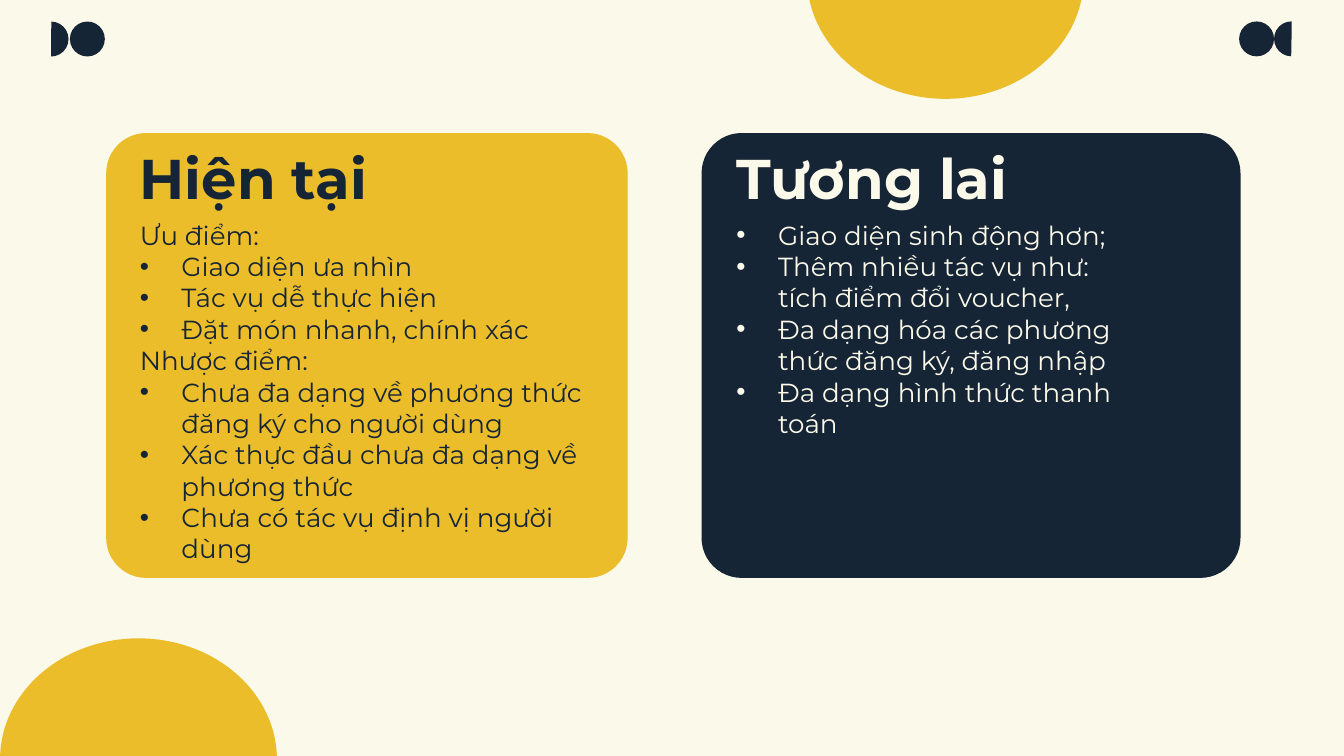
"""Build a slide comparing the present and future of an ordering app."""
from dataclasses import dataclass

import lxml.etree
import pptx
import pptx.dml.color
import pptx.enum.shapes
import pptx.enum.text
import pptx.oxml.ns
import pptx.slide
import pptx.util

Inches = pptx.util.Inches
Preset = pptx.enum.shapes.MSO_SHAPE
Anchor = pptx.enum.text.MSO_ANCHOR


@dataclass(frozen=True)
class Theme:
    cream: str = "FBF9EA"
    navy: str = "162535"
    yellow: str = "ECBD2A"
    font: str = "Montserrat"
    bullet_font: str = "Arial"
    title_size: int = 30
    body_size: int = 14
    indent: float = 0.31


@dataclass(frozen=True)
class Line:
    text: str
    bullet: bool = True


@dataclass(frozen=True)
class Card:
    left: float
    width: float
    text_left: float
    title_width: float
    body_width: float
    fill: str
    ink: str
    title: str
    lines: tuple[Line, ...]


@dataclass(frozen=True)
class Decoration:
    preset: Preset
    left: float
    top: float
    width: float
    height: float
    fill: str
    rotation: int = 0
    adjustments: tuple[float, ...] = ()


THEME = Theme()
CARD_TOP, CARD_HEIGHT = 0.99, 3.31
TITLE_HEIGHT, BODY_TOP, BODY_HEIGHT = 0.65, 1.63, 2.44
DOT_TOP, DOT_SIZE = 0.16, 0.26
SMALL_HALF = (54.58, 162)
LARGE_HALF = (53.46, 162)

DECORATIONS = (
    Decoration(Preset.PIE, 0.25, DOT_TOP, DOT_SIZE, DOT_SIZE, THEME.navy, 180, SMALL_HALF),
    Decoration(Preset.OVAL, 0.52, DOT_TOP, DOT_SIZE, DOT_SIZE, THEME.navy, 180),
    Decoration(Preset.PIE, 9.48, DOT_TOP, DOT_SIZE, DOT_SIZE, THEME.navy, 0, SMALL_HALF),
    Decoration(Preset.OVAL, 9.22, DOT_TOP, DOT_SIZE, DOT_SIZE, THEME.navy),
    Decoration(Preset.PIE, 0.13, 4.62, 1.8, 2.06, THEME.yellow, 90, LARGE_HALF),
    Decoration(Preset.PIE, 6.13, -1.2, 1.81, 2.06, THEME.yellow, 270, LARGE_HALF),
)

CARDS = (
    Card(0.79, 3.88, 1.04, 2.73, 3.58, THEME.yellow, THEME.navy, "Hiện tại", (
        Line("Ưu điểm:", bullet=False),
        Line("Giao diện ưa nhìn"),
        Line("Tác vụ dễ thực hiện"),
        Line("Đặt món nhanh, chính xác"),
        Line("Nhược điểm:", bullet=False),
        Line("Chưa đa dạng về phương thức đăng ký cho người dùng"),
        Line("Xác thực đầu chưa đa dạng về phương thức"),
        Line("Chưa có tác vụ định vị người dùng"),
    )),
    Card(5.22, 4.01, 5.48, 3.15, 2.87, THEME.navy, THEME.cream, "Tương lai", (
        Line("Giao diện sinh động hơn;"),
        Line("Thêm nhiều tác vụ như: tích điểm đổi voucher,"),
        Line("Đa dạng hóa các phương thức đăng ký, đăng nhập"),
        Line("Đa dạng hình thức thanh toán"),
    )),
)


def rgb(color: str) -> pptx.dml.color.RGBColor:
    """Return the colour object for a hexadecimal value."""
    return pptx.dml.color.RGBColor.from_string(color)


def add_decoration(slide: pptx.slide.Slide, item: Decoration) -> None:
    """Draw one plain filled shape."""
    shape = slide.shapes.add_shape(
        item.preset, Inches(item.left), Inches(item.top), Inches(item.width), Inches(item.height)
    )
    shape.shadow.inherit = False
    shape.fill.solid()
    shape.fill.fore_color.rgb = rgb(item.fill)
    shape.line.fill.background()
    shape.rotation = item.rotation
    for index, value in enumerate(item.adjustments):
        shape.adjustments[index] = value


def add_bullet(paragraph, color: str) -> None:
    """Give a paragraph a hanging round bullet."""
    qualify = pptx.oxml.ns.qn
    properties = paragraph._p.get_or_add_pPr()
    properties.set("marL", str(Inches(THEME.indent)))
    properties.set("indent", str(-Inches(THEME.indent)))
    bullet_color = lxml.etree.SubElement(properties, qualify("a:buClr"))
    lxml.etree.SubElement(bullet_color, qualify("a:srgbClr"), val=color)
    lxml.etree.SubElement(properties, qualify("a:buFont"), typeface=THEME.bullet_font)
    lxml.etree.SubElement(properties, qualify("a:buChar"), char="•")


def add_text(slide: pptx.slide.Slide, lines: tuple[Line, ...], *, left: float, top: float,
             width: float, height: float, size: int, color: str, bold: bool = False,
             anchor: Anchor = Anchor.TOP) -> None:
    """Write lines into a text box without margins."""
    box = slide.shapes.add_textbox(Inches(left), Inches(top), Inches(width), Inches(height))
    frame = box.text_frame
    frame.word_wrap = True
    frame.vertical_anchor = anchor
    frame.margin_left = frame.margin_right = frame.margin_top = frame.margin_bottom = 0
    for index, line in enumerate(lines):
        paragraph = frame.add_paragraph() if index else frame.paragraphs[0]
        if line.bullet:
            add_bullet(paragraph, color)
        run = paragraph.add_run()
        run.text = line.text
        run.font.name = THEME.font
        run.font.size = pptx.util.Pt(size)
        run.font.bold = bold
        run.font.color.rgb = rgb(color)


def add_card(slide: pptx.slide.Slide, card: Card) -> None:
    """Draw a rounded card with its title and list."""
    add_decoration(slide, Decoration(
        Preset.ROUNDED_RECTANGLE, card.left, CARD_TOP, card.width, CARD_HEIGHT, card.fill,
        adjustments=(0.09,),
    ))
    add_text(slide, card.lines, left=card.text_left, top=BODY_TOP, width=card.body_width,
             height=BODY_HEIGHT, size=THEME.body_size, color=card.ink)
    add_text(slide, (Line(card.title, bullet=False),), left=card.text_left, top=CARD_TOP,
             width=card.title_width, height=TITLE_HEIGHT, size=THEME.title_size,
             color=card.ink, bold=True, anchor=Anchor.MIDDLE)


def main() -> None:
    """Build and save the presentation."""
    presentation = pptx.Presentation()
    presentation.slide_width = Inches(10)
    presentation.slide_height = Inches(10 * 9 / 16)
    slide = presentation.slides.add_slide(presentation.slide_layouts[6])
    slide.background.fill.solid()
    slide.background.fill.fore_color.rgb = rgb(THEME.cream)
    for decoration in DECORATIONS:
        add_decoration(slide, decoration)
    for card in CARDS:
        add_card(slide, card)
    presentation.save("out.pptx")


if __name__ == "__main__":
    main()
